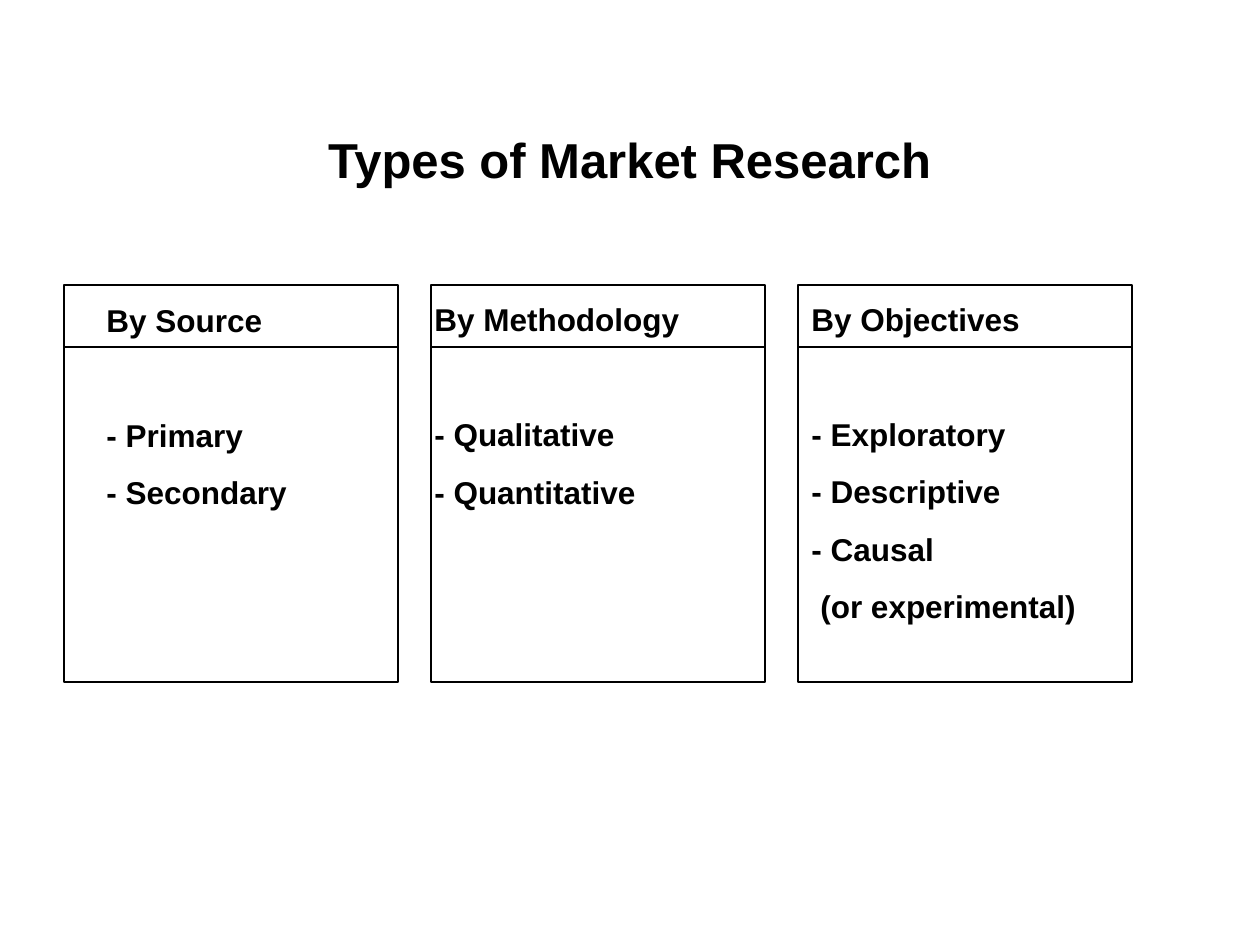
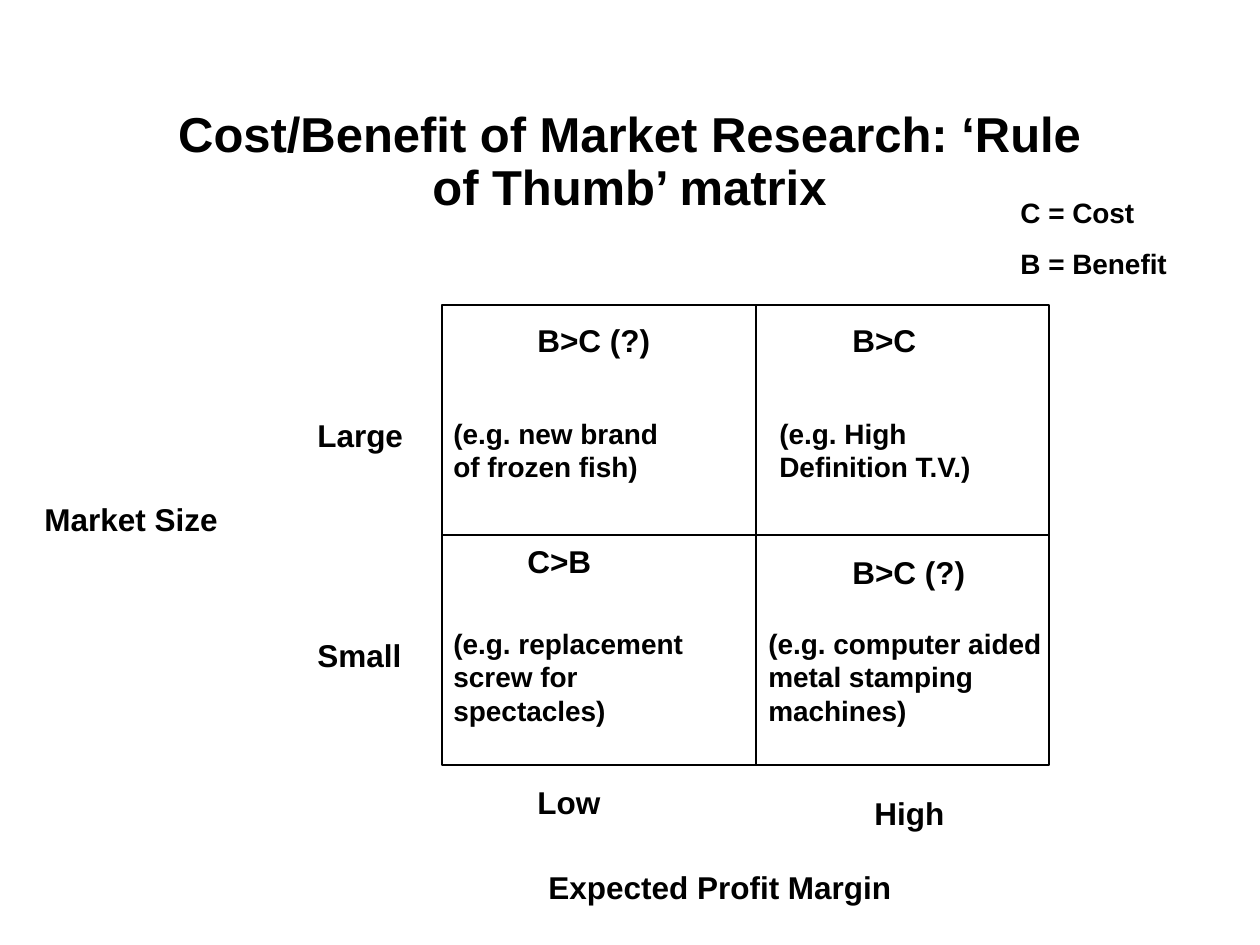
from dataclasses import dataclass

from lxml import etree
from pptx import Presentation
from pptx import util as u
from pptx.dml.color import RGBColor
from pptx.enum import shapes, text
from pptx.oxml.ns import qn


@dataclass(frozen=True)
class Theme:
    font: str = "Arial"
    ink: RGBColor = RGBColor(0, 0, 0)
    paper: RGBColor = RGBColor(255, 255, 255)
    line: float = 1
    title: int = 28
    body: int = 18
    small: int = 16
    body_gap: float = 11.25
    small_gap: float = 10
    heading_gap: float = 44


THEME = Theme()
PX_PER_INCH = 126
TITLE_AREA = (136, 84, 987, 158)

TYPES_TITLE = "Types of Market Research"
TYPES = [
    ("By Source", ["- Primary", "- Secondary"], (94, 295, 295, 280)),
    ("By Methodology", ["- Qualitative", "- Quantitative"], (422, 294, 338, 223)),
    ("By Objectives",
     ["- Exploratory", "- Descriptive", "- Causal", "(or experimental)"],
     (799, 294, 338, 338)),
]
CONTINUATION = "(or experimental)"
CONTINUATION_INDENT = 9
CARD_LEFT, CARD_TOP, CARD_WIDTH, CARD_HEIGHT = 64, 285, 334, 397
CARD_STEP = 367
HEADING_HEIGHT = 62

MATRIX_TITLE = "Cost/Benefit of Market Research: ‘Rule of Thumb’ matrix"
MATRIX_AREA = (442, 305, 607, 460)
COLUMN_SPLIT = 756
LABEL_HEIGHT = 50
LABELS = [
    ("B>C (?)", 525, 315, 190),
    ("B>C", 840, 315, 149),
    ("C>B", 515, 536, 149),
    ("B>C (?)", 840, 547, 149),
    ("Large", 305, 410, 149),
    ("Small", 305, 630, 137),
    ("Low", 525, 777, 180),
    ("High", 862, 788, 149),
    ("Market Size", 32, 494, 243),
    ("Expected Profit Margin", 536, 862, 474),
]
NOTES = [
    (["(e.g. new brand of frozen fish)"], (441, 410, 263, 79)),
    (["(e.g. High Definition T.V.)"], (767, 410, 263, 79)),
    (["(e.g. replacement screw for spectacles)"], (441, 620, 295, 113)),
    (["(e.g. computer aided metal stamping machines)"], (756, 620, 338, 113)),
    (["C = Cost", "B = Benefit"], (1008, 189, 243, 97)),
]


def px(length):
    return u.Emu(round(length * u.Inches(1) / PX_PER_INCH))


def scaled(area):
    return [px(length) for length in area]


def style(para, size):
    para.font.name = THEME.font
    para.font.size = u.Pt(size)
    para.font.bold = True
    para.font.color.rgb = THEME.ink


def add_page(deck, title):
    page = deck.slides.add_slide(deck.slide_layouts[5])
    box = page.shapes.title
    box.left, box.top, box.width, box.height = scaled(TITLE_AREA)
    frame = box.text_frame
    frame.text = title
    frame.word_wrap = True
    frame.auto_size = text.MSO_AUTO_SIZE.NONE
    frame.vertical_anchor = text.MSO_ANCHOR.MIDDLE
    para = frame.paragraphs[0]
    para.alignment = text.PP_ALIGN.CENTER
    para.line_spacing = 0.9
    style(para, THEME.title)
    return page


def add_text(page, lines, area, size=THEME.body, gap=THEME.body_gap):
    frame = page.shapes.add_textbox(*scaled(area)).text_frame
    frame.word_wrap = True
    frame.auto_size = text.MSO_AUTO_SIZE.SHAPE_TO_FIT_TEXT
    frame.text = "\n".join(lines)
    for para in frame.paragraphs:
        para.space_before = u.Pt(gap)
        style(para, size)
    return frame.paragraphs


def add_frame(page, area):
    box = page.shapes.add_shape(shapes.MSO_SHAPE.RECTANGLE, *scaled(area))
    box.shadow.inherit = False
    box.fill.solid()
    box.fill.fore_color.rgb = THEME.paper
    box.line.color.rgb = THEME.ink
    box.line.width = u.Pt(THEME.line)
    return box


def add_rule(page, start, end):
    rule = page.shapes.add_connector(
        shapes.MSO_CONNECTOR.STRAIGHT, *scaled(start + end))
    rule.line.color.rgb = THEME.ink
    rule.line.width = u.Pt(THEME.line)
    etree.SubElement(rule._element.spPr, qn("a:effectLst"))
    return rule


def build_types(deck):
    page = add_page(deck, TYPES_TITLE)
    for index, (heading, items, area) in enumerate(TYPES):
        left = CARD_LEFT + index * CARD_STEP
        rule_y = CARD_TOP + HEADING_HEIGHT
        add_frame(page, (left, CARD_TOP, CARD_WIDTH, CARD_HEIGHT))
        add_rule(page, (left, rule_y), (left + CARD_WIDTH, rule_y))
        paras = add_text(page, [heading] + items, area)
        paras[1].space_before = u.Pt(THEME.heading_gap)
        for para in paras:
            if para.text == CONTINUATION:
                para._p.get_or_add_pPr().set("marL", str(px(CONTINUATION_INDENT)))


def build_matrix(deck):
    page = add_page(deck, MATRIX_TITLE)
    left, top, width, height = MATRIX_AREA
    middle = top + height // 2
    matrix = add_frame(page, MATRIX_AREA)
    add_rule(page, (COLUMN_SPLIT, top), (COLUMN_SPLIT, top + height))
    row_rule = add_rule(page, (left + width, middle), (left, middle))
    row_rule.begin_connect(matrix, 3)
    row_rule.end_connect(matrix, 1)
    for label, x, y, label_width in LABELS:
        add_text(page, [label], (x, y, label_width, LABEL_HEIGHT))
    for lines, area in NOTES:
        add_text(page, lines, area, THEME.small, THEME.small_gap)


def main():
    deck = Presentation()
    deck.slide_width, deck.slide_height = u.Inches(10), u.Inches(7.5)
    build_types(deck)
    build_matrix(deck)
    deck.save("out.pptx")


if __name__ == "__main__":
    main()
